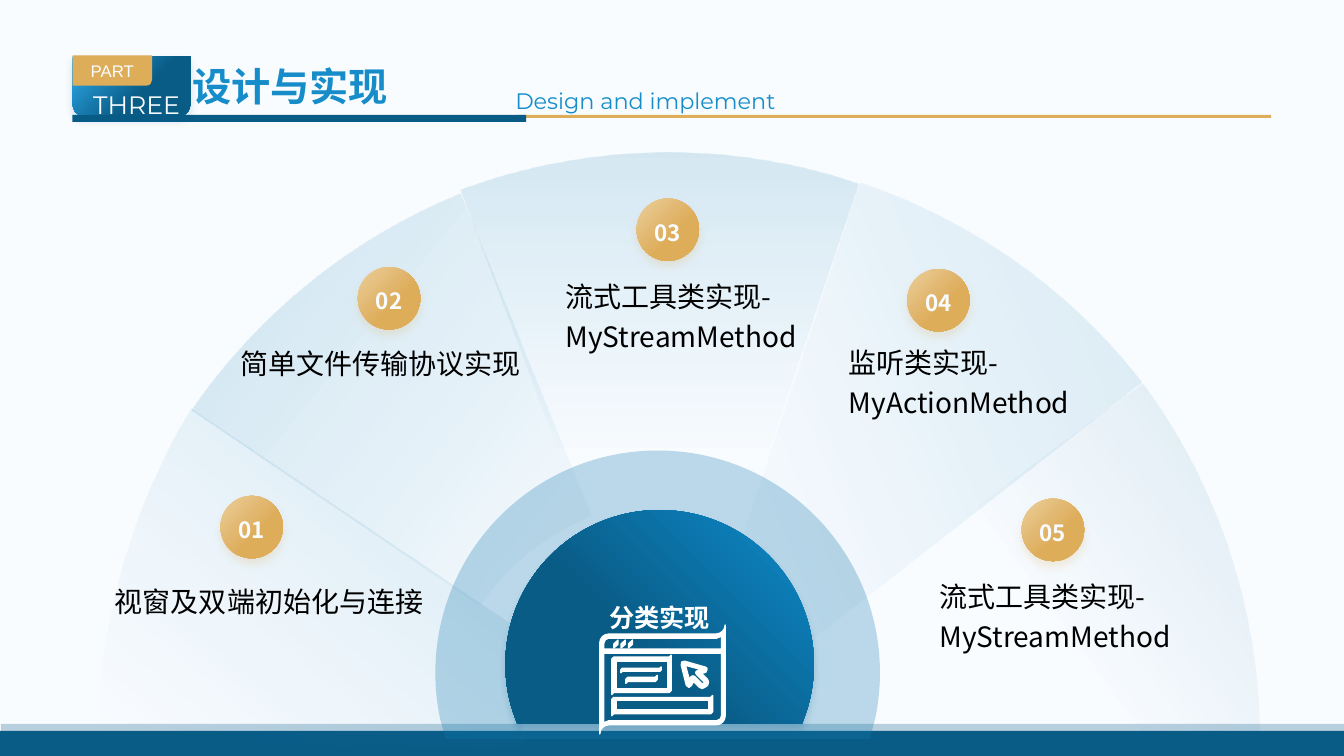
from dataclasses import dataclass
from math import asin, cos, radians, sin, sqrt, tan

from lxml.etree import SubElement
from pptx import Presentation
from pptx.dml.color import RGBColor
from pptx.enum.shapes import MSO_SHAPE
from pptx.enum.text import MSO_ANCHOR, PP_ALIGN
from pptx.oxml.ns import qn
from pptx.util import Pt

PAPER = RGBColor(0xF9, 0xFC, 0xFF)
WHITE = RGBColor(0xFF, 0xFF, 0xFF)
BLACK = RGBColor(0, 0, 0)
GOLD = RGBColor(0xDD, 0xAD, 0x5A)
PALE_GOLD = RGBColor(0xEB, 0xCE, 0x9C)
NAVY = RGBColor(0x09, 0x5C, 0x86)
BLUE = RGBColor(0x11, 0x7A, 0xAF)
SKY = RGBColor(0x31, 0xB0, 0xF1)
AZURE = RGBColor(0x0E, 0x8B, 0xCB)
TITLE_TOP = RGBColor(0x16, 0x8D, 0xC9)
TITLE_BOTTOM = RGBColor(0x05, 0x4F, 0x74)
CJK = "Noto Sans CJK SC"
BADGE = 44.6
ROUND = 0.5523  # control length of a quarter circle, as a share of its radius


@dataclass
class Stop:
    at: float
    color: RGBColor
    alpha: int = 100


@dataclass
class Gradient:
    """Two stops; the angle runs clockwise from left-to-right."""
    stops: tuple[Stop, Stop]
    angle: float


@dataclass
class Sector:
    label: str
    label_box: tuple
    badge_at: tuple
    outline: list
    fill: Gradient
    rotation: float = 0


def fade(angle: float, start: int, end: int, last: RGBColor = BLUE) -> Gradient:
    return Gradient((Stop(start, BLUE, 15), Stop(end, last, 0)), angle)


# An outline lists vertices (x, y) and cubic curves (x1, y1, x2, y2, x, y).
SECTORS = [
    Sector("视窗及双端初始化与连接", (82.1, 412.6, 237.6, 56.2), (157.5, 354.2),
           [(136.8, 291.6), (391.7, 463.7), (378.7, 484.6, 372.2, 508.3, 372.2, 532.8),
            (69.8, 530.6), (70.6, 445.7, 93.6, 362.9, 136.8, 291.6)], fade(130, 0, 100)),
    Sector("简单文件传输协议实现", (171.8, 242.6, 204.5, 28.8), (255.6, 190.8),
           [(329, 138.2), (422.6, 368.6), (390.2, 381.6, 362.2, 403.9, 342.7, 432.7),
            (136.8, 293), (184.3, 223.9, 251.3, 169.9, 329, 138.2)], fade(45, 19, 100), 354),
    Sector("流式工具类实现-MyStreamMethod", (403.9, 194.7, 184.3, 58.3), (454.7, 141.8),
           [(470.9, 109.4), (519.1, 108.7, 567.4, 115.9, 613.4, 131.8), (517, 417.6),
            (490.3, 408.2, 461.5, 409, 434.9, 419), (329, 136.1),
            (375.1, 118.8, 423.4, 110.2, 470.9, 109.4)], fade(90, 0, 69)),
    Sector("监听类实现-MyActionMethod", (606.2, 241.9, 180.7, 58.3), (648, 192.2),
           [(614.2, 130.3), (693.4, 157, 763.9, 206.6, 815, 272.9), (548.6, 481),
            (537.8, 467.3, 523.4, 457.2, 507.6, 452.2)], fade(90, 0, 77), 68.2),
    Sector("流式工具类实现-MyStreamMethod", (671, 409, 202.3, 58.3), (729.8, 356.2),
           [(815.8, 274.3), (869, 346.3, 897.8, 433.4, 899.3, 523.4), (613.4, 526.3),
            (613.4, 496.8, 604.1, 468, 586.1, 444.2)], fade(0, 0, 49, NAVY), 143.9),
]

TAB = [(51.8, 40.3), (136.1, 40.3), (136.1, 73.4), (136.1, 78.5, 133.2, 82.1, 130.3, 82.1),
       (57.6, 82.1), (54.7, 82.1, 51.8, 78.5, 51.8, 73.4)]
PART_TAG = [(51.8, 39.6), (108.7, 39.6), (108.7, 56.9),
            (108.7, 59, 107.3, 61.2, 104.4, 61.2), (53.3, 61.2), (51.8, 61.2)]

POINTER = [(488.9, 472.3), (504, 476.6), (505.4, 476.6, 505.4, 479.5, 504, 480.2),
           (501.1, 481), (505.4, 485.3), (506.4, 486.4, 506.4, 488.2, 505.4, 489.6),
           (503.3, 491), (502.6, 492, 500.6, 492, 499.7, 491), (495.4, 486.7), (493.9, 489.6),
           (493.4, 491.4, 491, 491.4, 490.3, 489.6), (486.7, 475.2),
           (486, 473.4, 487.2, 472, 488.9, 472.3)]
POINTER_HOLE = [(489.6, 475.2), (492.5, 486), (493.2, 483.8),
                (493.6, 482.8, 495.2, 482.4, 496.1, 483.1), (501.8, 488.9), (503.3, 487.4),
                (497.5, 481.7), (496.6, 480.8, 496.8, 479.8, 497.5, 479.5), (500.4, 478.1)]
# left, top, right, bottom, top radius, bottom radius
ICON_BOXES = [
    (428.4, 452.9, 518, 517.7, 6.5, 6.5), (431.3, 455.8, 515.5, 463.7, 3.6, 0),
    (431.3, 466.6, 515.5, 514.8, 0, 3.6), (437, 469.4, 479.5, 494.6, 1.4, 1.4),
    (439.9, 472.3, 476.6, 491.8, 0, 0), (437, 498.2, 509, 509.8, 1.4, 1.4),
    (439.9, 500.4, 506.2, 506.9, 0, 0), (443.5, 477.4, 472.3, 479.5, 1, 1),
    (447.1, 483.8, 469.4, 486.7, 1.4, 1.4),
] + [(x, 458.6, x + 2.9, 461.5, 1.4, 1.4) for x in (438.5, 443.7, 448.9)]


def dome(cx: float, cy: float, r: float, hip: float, bottom: float) -> list:
    """A circle down to the height hip, then straight sides to a level bottom."""
    a, k = asin((hip - cy) / r), ROUND * r
    h = r * 4 / 3 * tan(a / 4)
    hx, foot = r * cos(a), sqrt(r * r - (bottom - cy) ** 2)
    bx, by = hx + h * sin(a), hip - h * cos(a)
    return [(cx, cy - r), (cx + k, cy - r, cx + r, cy - k, cx + r, cy),
            (cx + r, cy + h, cx + bx, by, cx + hx, hip), (cx + foot, bottom),
            (cx - foot, bottom), (cx - hx, hip), (cx - bx, by, cx - r, cy + h, cx - r, cy),
            (cx - r, cy - k, cx - k, cy - r, cx, cy - r)]


def round_box(l: float, t: float, r: float, b: float, top: float, low: float) -> list:
    nodes = []
    for x, y, rad, dx, dy in ((l, t, top, 0, 1), (r, t, top, -1, 0),
                              (r, b, low, 0, -1), (l, b, low, 1, 0)):
        if not rad:
            nodes.append((x, y))
            continue
        c = rad * (1 - ROUND)
        ex, ey = -dy, dx
        ex, ey = (dy, -dx) if (dx, dy) in ((0, 1), (0, -1)) else (ex, ey)
        nodes += [(x + dx * rad, y + dy * rad),
                  (x + dx * c, y + dy * c, x + ex * c, y + ey * c, x + ex * rad, y + ey * rad)]
    return nodes


def turn(node: tuple, degrees: float) -> tuple:
    """Turn every point of a node clockwise about the slide's corner."""
    c, s = cos(radians(degrees)), sin(radians(degrees))
    return tuple(v for x, y in zip(node[::2], node[1::2]) for v in (x * c - y * s, x * s + y * c))


def add_outline(shapes, *contours: list):
    builder = shapes.build_freeform(*map(Pt, contours[0][0]), scale=1.0)
    for i, contour in enumerate(contours):
        if i:
            builder.move_to(*map(Pt, contour[0]))
        builder.add_line_segments([tuple(map(Pt, node[-2:])) for node in contour[1:]], close=True)
    s = builder.convert_to_shape()
    drawn = next(s._element.iter(qn("a:path")))
    steps = [e for e in drawn if e.tag != qn("a:close")]
    for step, node in zip(steps, (node for contour in contours for node in contour)):
        if len(node) == 6:
            step.tag = qn("a:cubicBezTo")
            for i in (0, 2):
                pt = SubElement(step, qn("a:pt"), x=str(Pt(node[i]) - s.left),
                                y=str(Pt(node[i + 1]) - s.top))
                step.insert(i // 2, pt)
    return s


def add_turned(shapes, outline: list, rotation: float):
    """Add an outline as an upright shape whose rotation brings it back into place."""
    s = add_outline(shapes, [turn(node, -rotation) for node in outline])
    x, y = turn((s.left + s.width / 2, s.top + s.height / 2), rotation)
    s.left, s.top = round(x - s.width / 2), round(y - s.height / 2)
    s.rotation = rotation
    return s


def set_alpha(color_element, alpha: int) -> None:
    SubElement(color_element, qn("a:alpha"), val=str(alpha * 1000))


def paint(fill, parent, look, alpha: int = 100) -> None:
    """Apply a solid colour or a Gradient; parent is the XML element holding the fill."""
    if isinstance(look, Gradient):
        fill.gradient()
        fill.gradient_angle = -look.angle % 360
        for gs, stop in zip(fill.gradient_stops, look.stops):
            gs.position, gs.color.rgb = stop.at / 100, stop.color
        alphas = [stop.alpha for stop in look.stops]
    else:
        fill.solid()
        fill.fore_color.rgb = look
        alphas = [alpha]
    for element, value in zip(parent.iter(qn("a:srgbClr")), alphas):
        if value < 100:
            set_alpha(element, value)


def style(s, look, alpha: int = 100, shadow=None, blur: float = 6, dist: float = 4):
    paint(s.fill, s._element.spPr, look, alpha)
    s.line.fill.background()
    s.shadow.inherit = False
    if shadow is not None:
        effects = s._element.spPr.find(qn("a:effectLst"))
        outer = SubElement(effects, qn("a:outerShdw"), blurRad=str(Pt(blur)), dist=str(Pt(dist)),
                           dir="5400000", algn="t", rotWithShape="0")
        set_alpha(SubElement(outer, qn("a:srgbClr"), val=str(shadow)), 20)
    return s


def write(s, text: str, size: float, look, font: str = CJK, bold: bool = False, spacing: float = 1,
          align=PP_ALIGN.LEFT, anchor=MSO_ANCHOR.TOP, inset: tuple = (7.2, 3.6)) -> None:
    tf = s.text_frame
    across, down = map(Pt, inset)
    frame = {"word_wrap": True, "vertical_anchor": anchor, "margin_left": across,
             "margin_right": across, "margin_top": down, "margin_bottom": down}
    p = tf.paragraphs[0]
    r = p.add_run()
    r.text = text
    for target, values in ((tf, frame), (p, {"alignment": align, "line_spacing": spacing}),
                           (r.font, {"size": Pt(size), "bold": bold, "name": font})):
        for name, value in values.items():
            setattr(target, name, value)
    paint(r.font.fill, r._r.rPr, look)
    r._r.rPr.find(qn("a:latin")).addnext(SubElement(r._r.rPr, qn("a:ea"), typeface=font))


def add_text(shapes, box: tuple, *args, **kwargs) -> None:
    write(shapes.add_textbox(*map(Pt, box)), *args, **kwargs)


def add_sector(shapes, number: int, sector: Sector) -> None:
    group = shapes.add_group_shape().shapes
    style(add_turned(group, sector.outline, sector.rotation), sector.fill)
    add_text(group, sector.label_box, sector.label, 20, BLACK, spacing=1.2, inset=(0, 0))
    badge = group.add_shape(MSO_SHAPE.OVAL, *map(Pt, (*sector.badge_at, BADGE, BADGE)))
    style(badge, Gradient((Stop(0, PALE_GOLD), Stop(60, GOLD)), 45), shadow=GOLD)
    write(badge, f"{number:02}", 16, PAPER, bold=True, spacing=1.2, align=PP_ALIGN.CENTER,
          anchor=MSO_ANCHOR.MIDDLE, inset=(0, 0))


def main() -> None:
    prs = Presentation()
    prs.slide_width, prs.slide_height = Pt(960), Pt(540)
    slide = prs.slides.add_slide(prs.slide_layouts[6])
    paint(slide.background.fill, slide.background._cSld, PAPER)
    shapes = slide.shapes
    for box, color, alpha in (((369.4, 82.1, 538.6, 2.2), GOLD, 100),
                              ((0.7, 517, 959.3, 18), NAVY, 27),
                              ((0, 522, 960, 18), NAVY, 100), ((51.8, 82.1, 324, 5), NAVY, 100)):
        style(shapes.add_shape(MSO_SHAPE.RECTANGLE, *map(Pt, box)), color, alpha)

    centred = {"align": PP_ALIGN.CENTER, "anchor": MSO_ANCHOR.MIDDLE}
    header = shapes.add_group_shape().shapes
    style(add_outline(header, TAB), Gradient((Stop(0, SKY), Stop(60, NAVY)), 45), shadow=NAVY)
    write(style(add_outline(header, PART_TAG), GOLD), "PART", 12, PAPER, "Arial", **centred)

    style(add_outline(shapes, dome(469.8, 480.6, 158.8, 512.6, 527.8)), BLUE, 27)
    add_text(shapes, (361, 54.7, 530.6, 54), "Design and implement", 16,
             Gradient((Stop(0, TITLE_TOP), Stop(100, TITLE_BOTTOM, 54)), 90), "Montserrat", spacing=1.2)
    add_text(shapes, (131.5, 41.8, 157.7, 39.6), "设计与实现", 28,
             Gradient((Stop(0, TITLE_TOP), Stop(100, TITLE_BOTTOM)), 90), bold=True, inset=(5.8, 2.9))
    add_text(shapes, (59.5, 60.5, 84.2, 28.8), "THREE", 18, PAPER, "Montserrat")
    for number, sector in enumerate(SECTORS, 1):
        add_sector(shapes, number, sector)

    hub = style(add_outline(shapes, dome(471.2, 474.5, 110.2, 507.6, 517)),
                Gradient((Stop(0, AZURE), Stop(60, NAVY)), 135), shadow=NAVY, blur=4.9, dist=3.2)
    write(hub, "分类实现", 18, WHITE, bold=True, inset=(5.8, 2.9), **centred)
    boxes = [round_box(*box) for box in ICON_BOXES]
    icon = style(add_outline(shapes, *boxes, POINTER, POINTER_HOLE), WHITE)
    icon.line.color.rgb = WHITE
    icon.line.width = Pt(1)
    prs.save("out.pptx")


if __name__ == "__main__":
    main()
